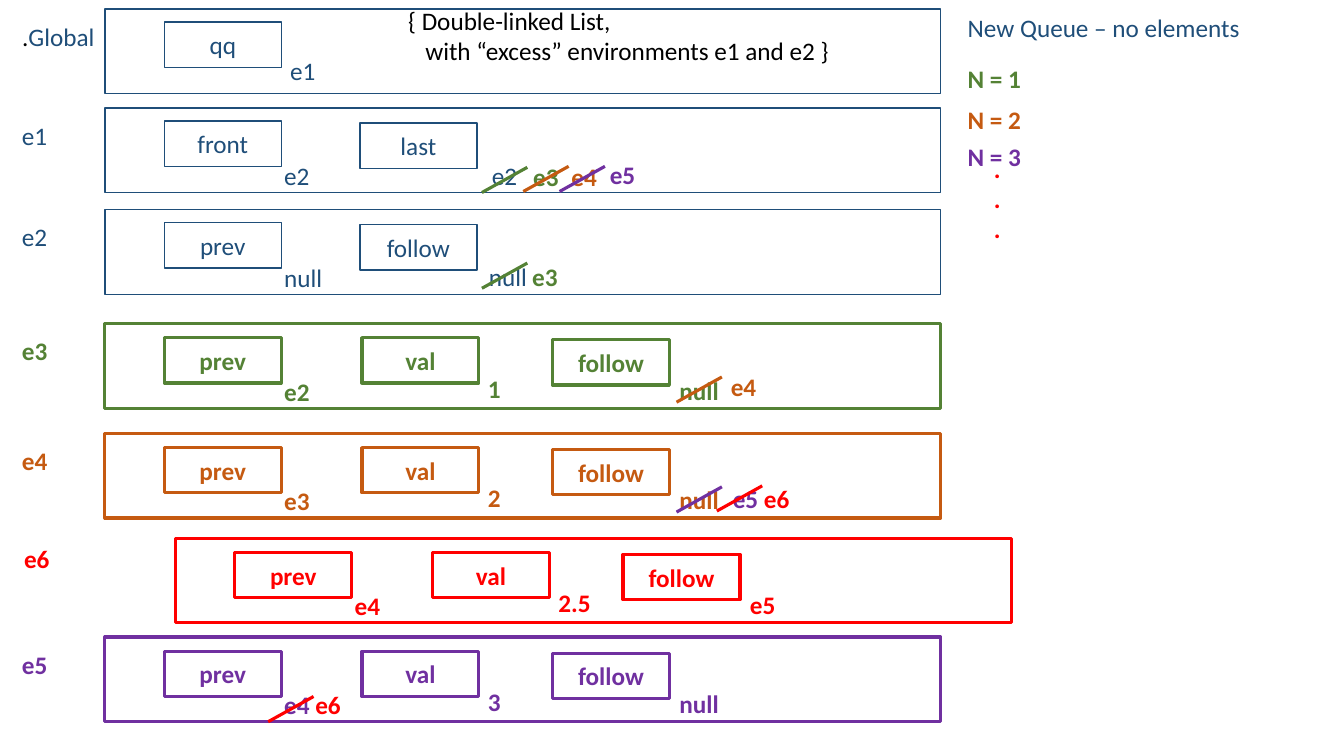
from pptx import Presentation
from pptx.dml.color import RGBColor
from pptx.enum.shapes import MSO_CONNECTOR, MSO_SHAPE
from pptx.enum.text import MSO_ANCHOR, MSO_AUTO_SIZE, PP_ALIGN
from pptx.oxml.ns import qn
from pptx.util import Pt

SCALE = 9144
COLOURS = {
    "navy": "1F4E79", "green": "548235", "orange": "C55A11",
    "purple": "7030A0", "red": "FF0000", "black": "000000",
}
PLAIN = ("navy", "black")
WIDTHS = {"null": 59, "1": 33, "2": 33, "3": 33, "2.5": 52, "e4 e6": 77, "e5 e6": 77}
NAME_WIDTH = 46

PAIR_SLOTS = ((59, 13, 168, 47), (253, 15, 371, 46))
NODE_SLOTS = ((59, 14, 168, 47), (255, 14, 370, 44), (444, 16, 560, 46))
ENVIRONMENTS = (
    ("navy", 104, 9, PAIR_SLOTS, (("qq", None),)),
    ("navy", 104, 107, PAIR_SLOTS, (("front", "e2"), ("last", None))),
    ("navy", 104, 208, PAIR_SLOTS, (("prev", "null"), ("follow", "null"))),
    ("green", 104, 321, NODE_SLOTS, (("prev", "e2"), ("val", "1"), ("follow", "null"))),
    ("orange", 104, 430, NODE_SLOTS, (("prev", "e3"), ("val", "2"), ("follow", "null"))),
    ("red", 174, 534, NODE_SLOTS, (("prev", "e4"), ("val", "2.5"), ("follow", "e5"))),
    ("purple", 104, 632, NODE_SLOTS, (("prev", None), ("val", "3"), ("follow", "null"))),
)
LABELS = (
    ("e1", "navy", 12, 114), ("e2", "navy", 12, 215), ("e3", "green", 12, 328),
    ("e4", "orange", 12, 437), ("e6", "red", 14, 534), ("e5", "purple", 12, 639),
)
UPDATES = (
    ("e1", "navy", 278, 50), ("e2", "navy", 478, 154), ("e3", "green", 519, 155),
    ("e4", "orange", 557, 155), ("e5", "purple", 595, 153),
    ("e3", "green", 518, 254), ("e4", "orange", 715, 363),
)
STEPS = (
    ("New Queue – no elements", "navy", 7, 293), ("N = 1", "green", 58, 73),
    ("N = 2", "orange", 99, 73), ("N = 3", "purple", 135, 73),
)
STRIKES = (
    ("green", 523, 166), ("orange", 564, 165), ("purple", 600, 165), ("green", 523, 261),
    ("orange", 716, 374), ("purple", 716, 483), ("red", 756, 482), ("red", 311, 691),
)


def px(length):
    return length * SCALE


def colour_of(name):
    return RGBColor.from_string(COLOURS[name])


def add_span(para, text, colour):
    span = para.add_run()
    span.text = text
    formats = {"name": "Calibri", "size": Pt(18), "bold": colour not in PLAIN}
    for key, value in formats.items():
        setattr(span.font, key, value)
    span.font.color.rgb = colour_of(colour)


def add_note(page, lines, left, top, width, height=40):
    box = page.shapes.add_textbox(px(left), px(top), px(width), px(height))
    frame = box.text_frame
    formats = {"word_wrap": False, "auto_size": MSO_AUTO_SIZE.SHAPE_TO_FIT_TEXT}
    for key, value in formats.items():
        setattr(frame, key, value)
    for index, spans in enumerate(lines):
        para = frame.add_paragraph() if index else frame.paragraphs[0]
        for text, colour in spans:
            add_span(para, text, colour)
    return box


def add_value(page, text, colour, left, top):
    add_note(page, [[(text, colour)]], left, top, WIDTHS.get(text, NAME_WIDTH))


def add_two_values(page, spans, left, top):
    text = "".join(part for part, colour in spans)
    add_note(page, [spans], left, top, WIDTHS[text])


def style_line(line, colour):
    line.color.rgb = colour_of(colour)
    line.width = Pt(1 if colour == "navy" else 2.25)


def add_frame(page, colour, left, top, width, height, text=None):
    box = page.shapes.add_shape(
        MSO_SHAPE.RECTANGLE, px(left), px(top), px(width), px(height))
    box.shadow.inherit = False
    box.fill.background()
    style_line(box.line, colour)
    if text:
        box.text_frame.vertical_anchor = MSO_ANCHOR.MIDDLE
        para = box.text_frame.paragraphs[0]
        para.alignment = PP_ALIGN.CENTER
        add_span(para, text, colour)


def add_environment(page, colour, left, top, slots, fields):
    add_frame(page, colour, left, top, 829, 84)
    for (name, value), (x, y, value_x, value_y) in zip(fields, slots):
        add_frame(page, colour, left + x, top + y, 116, 45, name)
        if value:
            add_value(page, value, colour, left + value_x, top + value_y)


def add_strike(page, colour, right, top):
    strike = page.shapes.add_connector(
        MSO_CONNECTOR.STRAIGHT, px(right), px(top), px(right - 45), px(top + 25))
    style_line(strike.line, colour)
    properties = strike.element.find(qn("p:spPr"))
    properties.append(properties.makeelement(qn("a:effectLst"), {}))


def add_heading(page):
    lines = [[("{ Double-linked List,", "black")],
             [("with “excess” environments e1 and e2 }", "black")]]
    heading = add_note(page, lines, 395, 0, 442, 71)
    second = heading.text_frame.paragraphs[1].element if hasattr(
        heading.text_frame.paragraphs[1], "element") else heading.text_frame.paragraphs[1]._p
    second.get_or_add_pPr().set("marL", str(px(17)))


def main():
    deck = Presentation()
    deck.slide_width, deck.slide_height = px(1333), px(750)
    page = deck.slides.add_slide(deck.slide_layouts[6])
    for environment in ENVIRONMENTS:
        add_environment(page, *environment)
    add_note(page, [[(".", "black"), ("Global", "navy")]], 12, 16, 92)
    for text, colour, left, top in LABELS + UPDATES:
        add_value(page, text, colour, left, top)
    add_two_values(page, [("e4", "purple"), (" e6", "red")], 272, 679)
    add_two_values(page, [("e5 ", "purple"), ("e6", "red")], 717, 475)
    for text, colour, top, width in STEPS:
        add_note(page, [[(text, colour)]], 950, top, width)
    add_note(page, [[(".", "red")]] * 3, 976, 147, 27, 101)
    for strike in STRIKES:
        add_strike(page, *strike)
    add_heading(page)
    deck.save("out.pptx")


if __name__ == "__main__":
    main()
